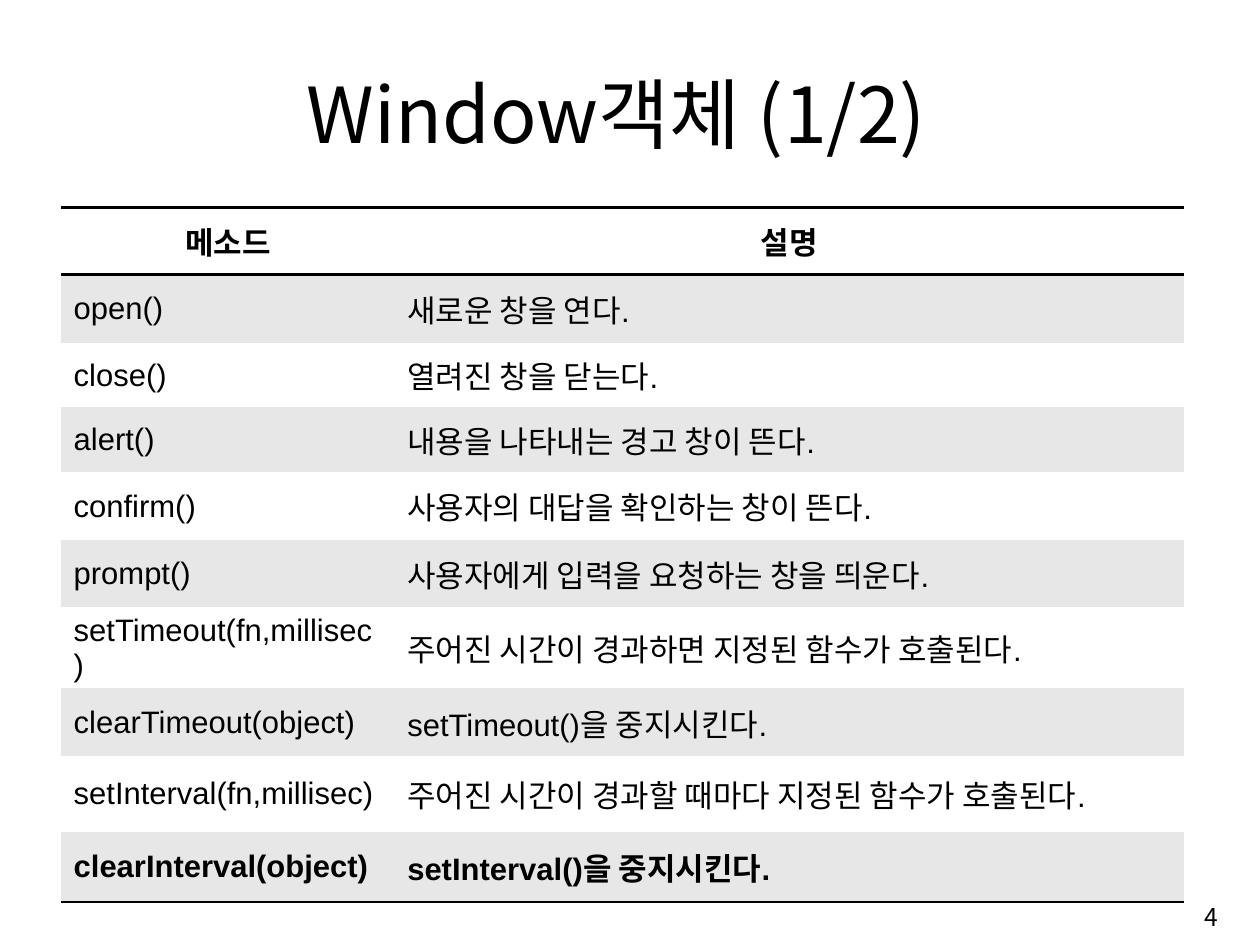
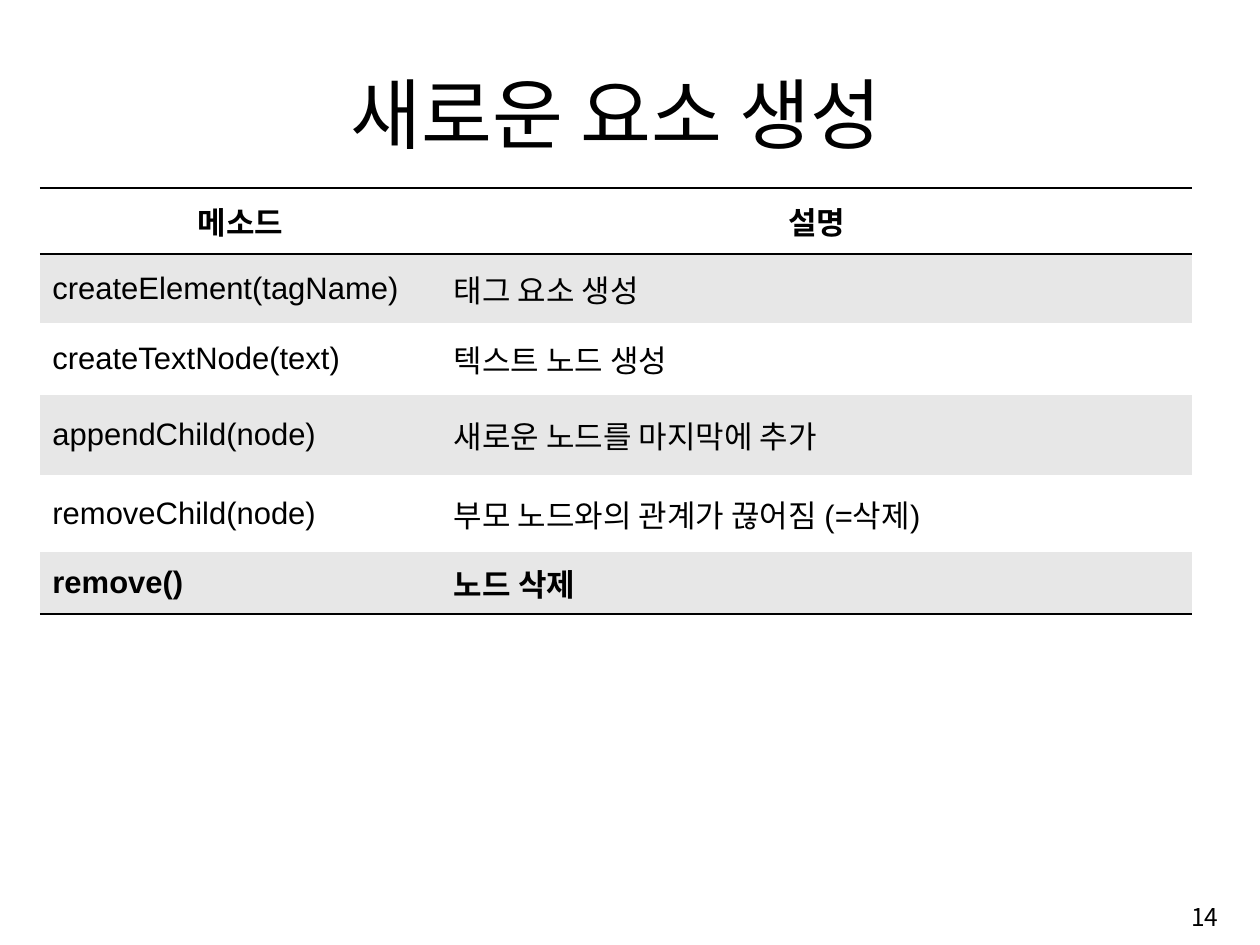
"""Two slides listing JavaScript window and DOM methods in ruled, banded tables."""
from lxml import etree
from pptx import Presentation
from pptx.dml.color import RGBColor
from pptx.enum.text import MSO_ANCHOR, MSO_AUTO_SIZE, PP_ALIGN
from pptx.oxml.ns import qn
from pptx.util import Inches, Pt

LEFT, CENTER, RIGHT = PP_ALIGN.LEFT, PP_ALIGN.CENTER, PP_ALIGN.RIGHT
MIDDLE, BOTTOM = MSO_ANCHOR.MIDDLE, MSO_ANCHOR.BOTTOM
NO_FIT = MSO_AUTO_SIZE.NONE
COLORS = {"ink": "000000", "paper": "FFFFFF", "band": "E7E7E7"}
KOREAN, LATIN = "Noto Sans CJK KR", "Arial"
NO_STYLE = "{2D5ABB26-0587-4C30-8999-92F81FD0307C}"
PAD_X, PAD_Y = Inches(0.13), Inches(0.06)

SLIDES = [
    {
        "title": "Window객체 (1/2)",
        "number": "4",
        "corner": (4.85, 21.97),
        "cols": (26.48, 62.66),
        "rows": [
            (7.08, "메소드", "설명"),
            (7.29, "open()", "새로운 창을 연다."),
            (6.78, "close()", "열려진 창을 닫는다."),
            (6.88, "alert()", "내용을 나타내는 경고 창이 뜬다."),
            (7.19, "confirm()", "사용자의 대답을 확인하는 창이 뜬다."),
            (7.08, "prompt()", "사용자에게 입력을 요청하는 창을 띄운다."),
            (7.91, "setTimeout(fn,millisec)", "주어진 시간이 경과하면 지정된 함수가 호출된다."),
            (7.19, "clearTimeout(object)", "setTimeout()을 중지시킨다."),
            (8.01, "setInterval(fn,millisec)", "주어진 시간이 경과할 때마다 지정된 함수가 호출된다."),
            (7.39, "clearInterval(object)", "setInterval()을 중지시킨다."),
        ],
    },
    {
        "title": "새로운 요소 생성",
        "number": "14",
        "corner": (3.16, 19.92),
        "cols": (31.87, 59.58),
        "rows": [
            (6.98, "메소드", "설명"),
            (7.29, "createElement(tagName)", "태그 요소 생성"),
            (7.6, "createTextNode(text)", "텍스트 노드 생성"),
            (8.52, "appendChild(node)", "새로운 노드를 마지막에 추가"),
            (8.11, "removeChild(node)", "부모 노드와의 관계가 끊어짐 (=삭제)"),
            (6.57, "remove()", "노드 삭제"),
        ],
    },
]


def write(tf, text, size, align, font=KOREAN, bold=False):
    """Put one formatted run into the first paragraph of a text frame."""
    tf.word_wrap = True
    p = tf.paragraphs[0]
    p.alignment = align
    r = p.add_run()
    r.text = text
    r.font.size = Pt(size)
    r.font.bold = bold
    r.font.color.rgb = RGBColor.from_string(COLORS["ink"])
    r.font.name = font
    etree.SubElement(r.font._element, qn("a:ea"), typeface=KOREAN)


def rule(cell, side):
    """Draw a 2 pt line on one side of a table cell."""
    ln = etree.SubElement(cell._tc.get_or_add_tcPr(), qn("a:" + side), w=str(Pt(2)))
    fill = etree.SubElement(ln, qn("a:solidFill"))
    etree.SubElement(fill, qn("a:srgbClr"), val=COLORS["ink"])


prs = Presentation()
prs.slide_width, prs.slide_height = Inches(12.99), Inches(9.74)
px, py = prs.slide_width / 100, prs.slide_height / 100

for data in SLIDES:
    s = prs.slides.add_slide(prs.slide_layouts[5])
    title = s.shapes.title
    title.left, title.top = int(8.08 * px), int(6.26 * py)
    title.width, title.height = int(81.68 * px), int(11.09 * py)
    tf = title.text_frame
    tf.auto_size = NO_FIT
    tf.vertical_anchor = BOTTOM
    write(tf, data["title"], 57.2, CENTER)

    rows, cols = data["rows"], data["cols"]
    x, y = data["corner"]
    height = sum(row[0] for row in rows)
    frame = s.shapes.add_table(len(rows), len(cols), int(x * px), int(y * py),
                               int(sum(cols) * px), int(height * py))
    table = frame.table
    table.first_row = table.horz_banding = False
    table._tbl.tblPr.find(qn("a:tableStyleId")).text = NO_STYLE
    for column, width in zip(table.columns, cols):
        column.width = int(width * px)

    last = len(rows) - 1
    for i, (row_height, *texts) in enumerate(rows):
        table.rows[i].height = int(row_height * py)
        header = i == 0
        for j, text in enumerate(texts):
            cell = table.cell(i, j)
            cell.margin_left = cell.margin_right = PAD_X
            cell.margin_top = cell.margin_bottom = PAD_Y
            cell.vertical_anchor = MIDDLE
            if header:
                rule(cell, "lnT")
            if i in (0, last):
                rule(cell, "lnB")
            cell.fill.solid()
            cell.fill.fore_color.rgb = RGBColor.from_string(COLORS["band" if i % 2 else "paper"])
            write(cell.text_frame, text, 23, CENTER if header else LEFT,
                  KOREAN if header else LATIN, i in (0, last))

    number = s.shapes.add_textbox(int(76.83 * px), int(93.94 * py), int(20.63 * px), int(6.16 * py))
    tf = number.text_frame
    tf.vertical_anchor = MIDDLE
    write(tf, data["number"], 18.2, RIGHT)

prs.save("out.pptx")
